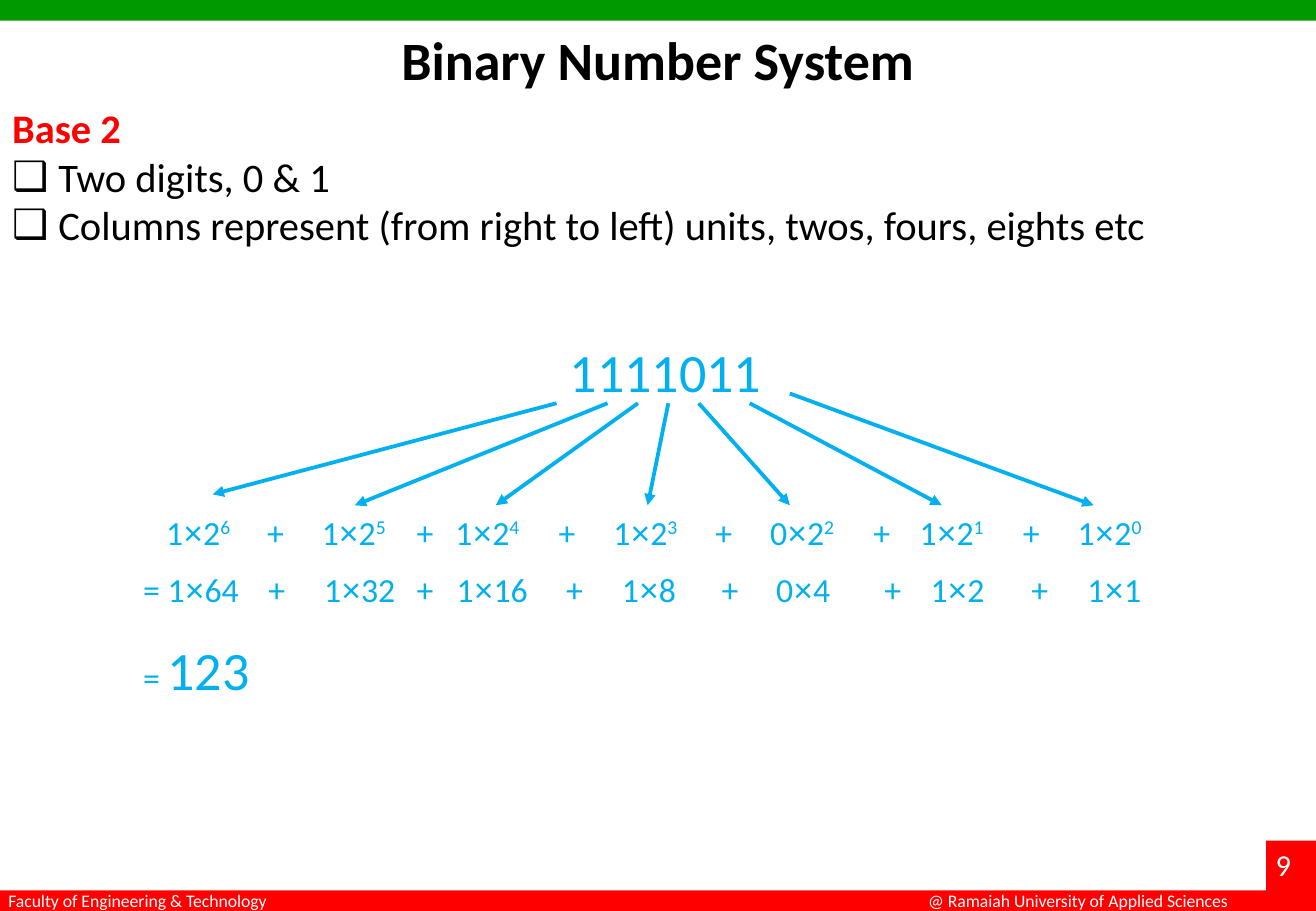
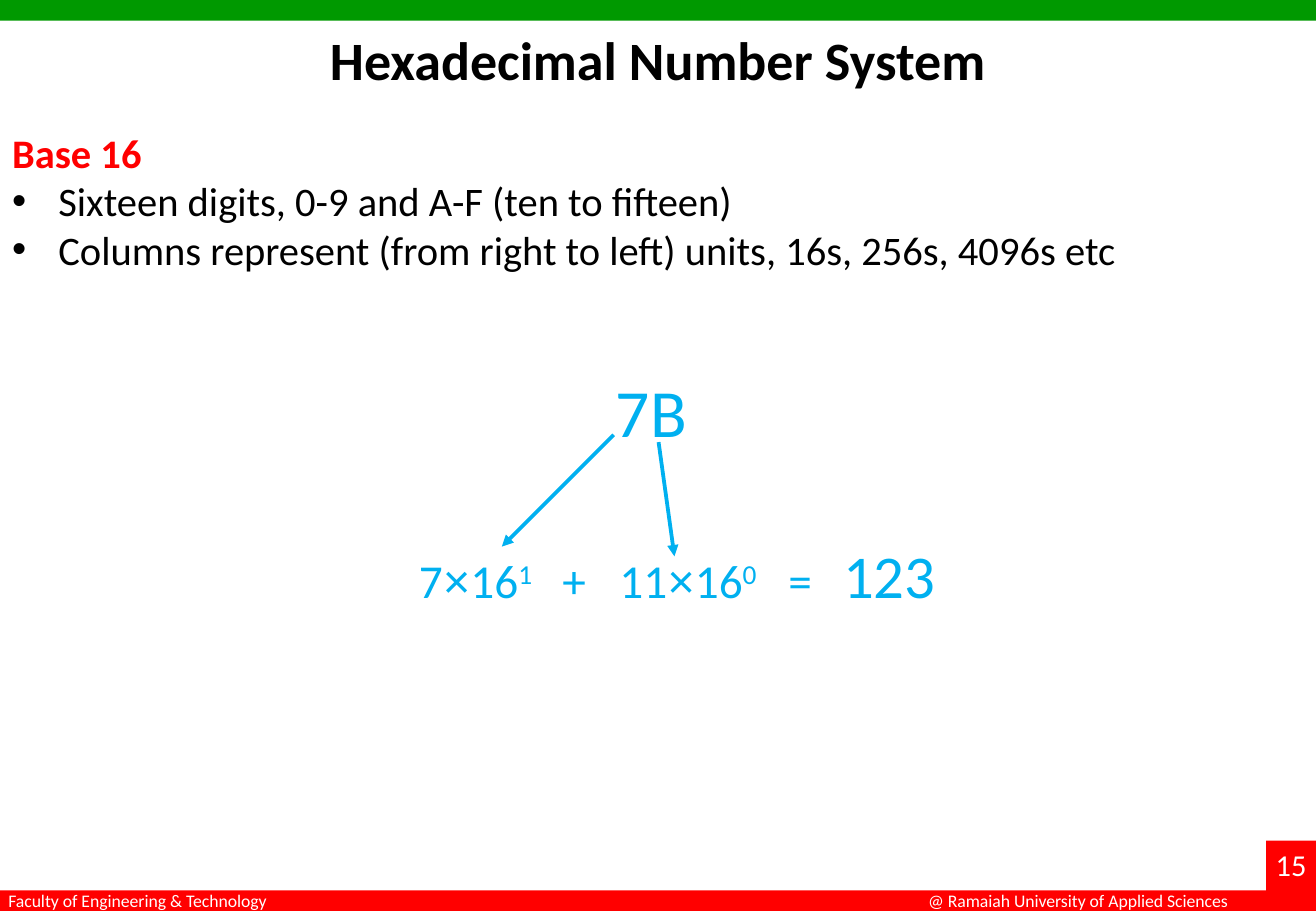
from dataclasses import dataclass
from typing import Any

from lxml import etree
from pptx import Presentation
from pptx import util as u
from pptx.dml.color import RGBColor
from pptx.enum import shapes, text
from pptx.oxml import ns


@dataclass(frozen=True)
class Theme:
    """Colours, fonts and type sizes of the deck."""
    green: str = "009900"
    red: str = "FF0000"
    white: str = "FFFFFF"
    black: str = "000000"
    blue: str = "00B0F0"
    font: str = "Calibri"
    sign: str = "Arial"
    title: float = 32
    list: float = 24
    foot: float = 10.5
    page: float = 18
    line: float = 2.25


@dataclass(frozen=True)
class Box:
    left: float
    top: float
    width: float
    height: float

    def emu(self) -> list[int]:
        return [u.Inches(n) for n in (self.left, self.top, self.width, self.height)]


@dataclass(frozen=True)
class Row:
    """A line of a sum: × is set in the sign font, |^n is raised, |!n is large."""
    text: str
    size: float
    big: float = 0
    tabs: tuple[float, ...] = ()
    gap: float = 0


@dataclass(frozen=True)
class Arrow:
    x: float
    y: float
    to_x: float
    to_y: float


@dataclass(frozen=True)
class Page:
    number: str
    title: str
    base: str
    mark: str
    points: tuple[str, ...]
    list: Box
    head: Row
    head_box: Box
    sum: tuple[Row, ...]
    sum_box: Box
    arrows: tuple[Arrow, ...]


T = Theme()
WIDE, HIGH, BAND = 10.83, 7.5, 0.17
INDENT = 0.38


# Text helpers
def style(font: Any, size: float, color: str, bold: bool = False, name: str = T.font) -> None:
    form = {"size": u.Pt(size), "bold": bold, "name": name}
    for key, val in form.items():
        setattr(font, key, val)
    font.color.rgb = RGBColor.from_string(color)


def child(node: Any, tag: str, **attrs: str) -> Any:
    return etree.SubElement(node, ns.qn(tag), attrs)


def write_row(par: Any, row: Row) -> None:
    par.space_before = u.Pt(row.gap)
    if row.tabs:
        stops = child(par._p.get_or_add_pPr(), "a:tabLst")
        for pos in row.tabs:
            child(stops, "a:tab", pos=str(u.Inches(pos)), algn="l")
    for part in row.text.replace("×", "|×|").split("|"):
        run = par.add_run()
        run.text = part.lstrip("^!")
        size = row.big if part.startswith("!") else row.size
        style(run.font, size, T.blue, name=T.sign if part == "×" else T.font)
        if part.startswith("^"):
            run._r.get_or_add_rPr().set("baseline", "30000")


def add_box(slide: Any, box: Box) -> Any:
    shape = slide.shapes.add_textbox(*box.emu())
    shape.text_frame.word_wrap = True
    return shape


def add_label(slide: Any, box: Box, words: str, size: float) -> Any:
    shape = add_box(slide, box)
    par = shape.text_frame.paragraphs[0]
    par.text = words
    style(par.runs[0].font, size, T.white)
    return shape


def add_sum(slide: Any, box: Box, rows: tuple[Row, ...]) -> None:
    frame = add_box(slide, box).text_frame
    for i, row in enumerate(rows):
        write_row(frame.add_paragraph() if i else frame.paragraphs[0], row)


# Shared bands and footers, kept on the layout
def add_bar(slide: Any, box: Box, color: str) -> Any:
    bar = slide.shapes.add_shape(shapes.MSO_SHAPE.RECTANGLE, *box.emu())
    bar.shadow.inherit = False
    bar.fill.solid()
    bar.fill.fore_color.rgb = RGBColor.from_string(color)
    bar.line.fill.background()
    return bar


def dress(layout: Any, slide: Any) -> None:
    parts = [
        add_bar(slide, Box(0, 0, WIDE, BAND), T.green),
        add_bar(slide, Box(0, HIGH - BAND, WIDE, BAND), T.red),
        add_bar(slide, Box(10.42, 6.92, 0.42, 0.58), T.red),
        add_label(slide, Box(7.54, 7.28, 2.71, 0.28),
                  "@ Ramaiah University of Applied Sciences", T.foot),
        add_label(slide, Box(-0.03, 7.28, 2.38, 0.28),
                  "Faculty of Engineering & Technology", T.foot),
    ]
    for part in parts:
        layout.shapes.element.append(part.element)


# Placeholders
def place(shape: Any, box: Box) -> Any:
    for key, val in zip(("left", "top", "width", "height"), box.emu()):
        setattr(shape, key, val)
    frame = shape.text_frame
    form = {"vertical_anchor": text.MSO_ANCHOR.TOP, "word_wrap": True,
            "auto_size": text.MSO_AUTO_SIZE.NONE}
    for key, val in form.items():
        setattr(frame, key, val)
    return frame


def set_title(slide: Any, words: str) -> None:
    par = place(slide.shapes.title, Box(0.54, 0.17, 9.75, 1.25)).paragraphs[0]
    par.text = words
    par.alignment = text.PP_ALIGN.CENTER
    style(par.runs[0].font, T.title, T.black, True)


def set_list(slide: Any, page: Page) -> None:
    frame = place(slide.placeholders[1], page.list)
    for i, words in enumerate((page.base, *page.points)):
        par = frame.add_paragraph() if i else frame.paragraphs[0]
        par.text = words
        par.space_before = u.Pt(0)
        props = par._p.get_or_add_pPr()
        step = u.Inches(INDENT) if i else 0
        props.set("marL", str(step))
        props.set("indent", str(-step))
        if i:
            child(props, "a:buFont", typeface=T.sign)
            child(props, "a:buChar", char=page.mark)
        else:
            child(props, "a:buNone")
        style(par.runs[0].font, T.list, T.black if i else T.red, not i)


def add_arrow(slide: Any, arrow: Arrow) -> None:
    ends = [u.Inches(n) for n in (arrow.x, arrow.y, arrow.to_x, arrow.to_y)]
    line = slide.shapes.add_connector(shapes.MSO_CONNECTOR.STRAIGHT, *ends)
    line.line.width = u.Pt(T.line)
    line.line.color.rgb = RGBColor.from_string(T.blue)
    child(line.line._get_or_add_ln(), "a:tailEnd", type="triangle")
    child(line._element.spPr, "a:effectLst")


# Content
BITS = "1111011"
PLUS = "\t+\t"
POWERS = [(bit, len(BITS) - 1 - i) for i, bit in enumerate(BITS)]
RAISED = "\t" + PLUS.join(f"{bit}×2|^{p}|" for bit, p in POWERS)
VALUES = "= " + PLUS.join(f"{bit}×{2 ** p}" for bit, p in POWERS)

PAGES = (
    Page(
        "9", "Binary Number System", "Base 2", "❑",
        ("Two digits, 0 & 1",
         "Columns represent (from right to left) units, twos, fours, eights etc"),
        Box(0, 0.8, WIDE, 1.31),
        Row(BITS, 32), Box(4.59, 2.74, 1.8, 0.64),
        (Row(RAISED, 20, tabs=(0.19, 1.02, 1.47, 2.25, 2.57, 3.42, 3.87,
                               4.71, 5.16, 6.01, 6.39, 7.24, 7.69)),
         Row(VALUES, 20, tabs=(1.03, 1.49, 2.25, 2.58, 3.48, 3.94,
                               4.76, 5.21, 6.1, 6.48, 7.31, 7.77), gap=10),
         Row("= |!123", 20, 32, gap=16)),
        Box(1.08, 4.16, 9, 1.75),
        (Arrow(4.58, 3.32, 1.75, 4.07), Arrow(5, 3.32, 2.92, 4.16),
         Arrow(5.25, 3.32, 4.08, 4.16), Arrow(5.5, 3.32, 5.33, 4.16),
         Arrow(5.75, 3.32, 6.5, 4.16), Arrow(6.17, 3.32, 7.75, 4.16),
         Arrow(6.5, 3.24, 9, 4.16)),
    ),
    Page(
        "15", "Hexadecimal Number System", "Base 16", "•",
        ("Sixteen digits, 0-9 and A-F (ten to fifteen)",
         "Columns represent (from right to left) units, 16s, 256s, 4096s etc"),
        Box(0, 1, 10.29, 1.31),
        Row("7B", 40), Box(4.97, 3, 0.9, 0.77),
        (Row("7×16|^1|\t+\t11×16|^0|\t=\t|!123", 28, 36,
             (1.18, 1.65, 3.04, 3.49)),),
        Box(3.35, 4.38, 5.2, 0.71),
        (Arrow(5.05, 3.58, 4.13, 4.5), Arrow(5.42, 3.64, 5.55, 4.58)),
    ),
)


def main() -> None:
    deck = Presentation()
    deck.slide_width, deck.slide_height = u.Inches(WIDE), u.Inches(HIGH)
    layout = deck.slide_layouts[1]
    for i, page in enumerate(PAGES):
        slide = deck.slides.add_slide(layout)
        if i == 0:
            dress(layout, slide)
        set_title(slide, page.title)
        set_list(slide, page)
        add_label(slide, Box(10.4, 6.92, 0.5, 0.4), page.number, T.page)
        add_sum(slide, page.head_box, (page.head,))
        add_sum(slide, page.sum_box, page.sum)
        for arrow in page.arrows:
            add_arrow(slide, arrow)
    deck.save("out.pptx")


if __name__ == "__main__":
    main()
